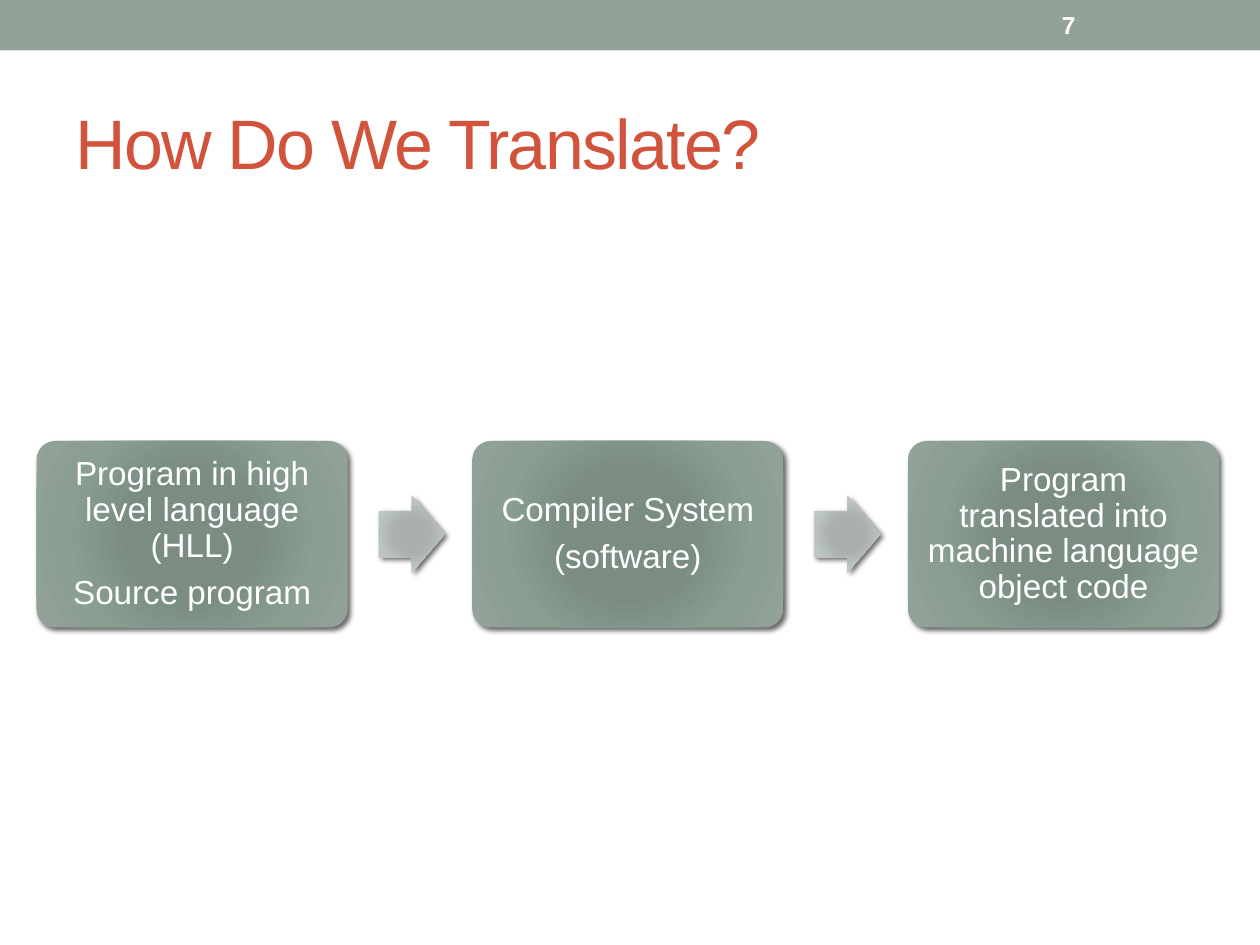
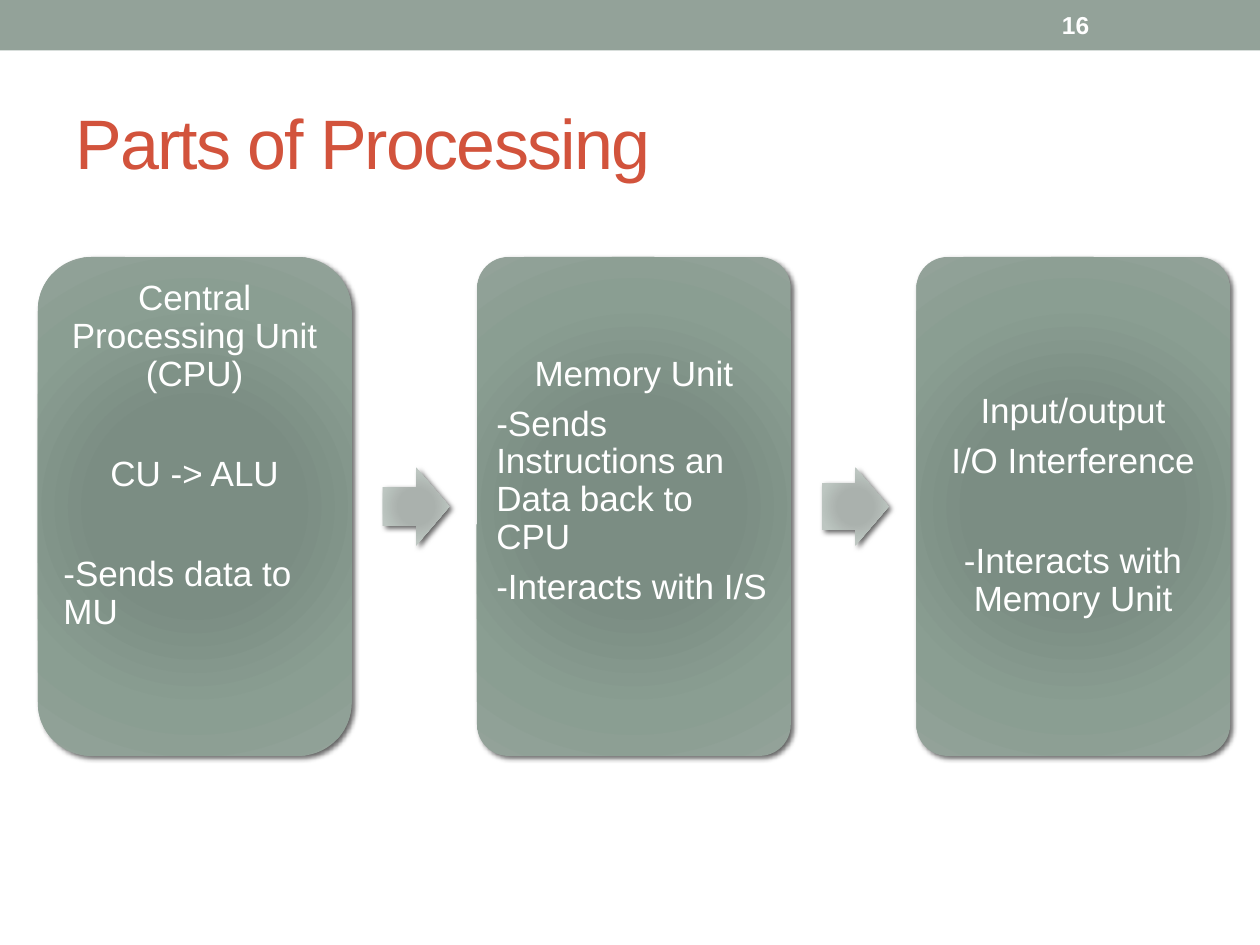
from dataclasses import dataclass

from lxml.etree import SubElement
from pptx import Presentation
from pptx.dml.color import RGBColor
from pptx.enum.shapes import MSO_SHAPE as Preset
from pptx.enum.text import MSO_ANCHOR as Anchor, PP_ALIGN as Align
from pptx.oxml.ns import qn
from pptx.util import Inches, Pt

# Content: each step lists (text, alignment, blank lines that follow)
C, L = Align.CENTER, Align.LEFT
SLIDES = [
    {
        "title": "How Do We Translate?", "number": "7",
        "left": 0.29, "top": 3.5, "width": 2.47, "height": 1.48, "size": 19,
        "steps": [
            [("Program in high level language (HLL)", C, 0), ("Source program", C, 0)],
            [("Compiler System", C, 0), ("(software)", C, 0)],
            [("Program translated into machine language object code", C, 0)],
        ],
        "corners": [0.1, 0.1, 0.1],
        "arrow_shafts": [0.6, 0.6],
    },
    {
        "title": "Parts of Processing", "number": "16",
        "left": 0.3, "top": 2.04, "width": 2.49, "height": 3.96, "size": 20,
        "steps": [
            [("Central Processing Unit (CPU)", C, 1), ("CU -> ALU", C, 1),
             ("-Sends data to MU", L, 2)],
            [("Memory Unit", C, 0), ("-Sends Instructions an Data back to CPU", L, 0),
             ("-Interacts with I/S", L, 1)],
            [("Input/output", C, 0), ("I/O Interference", C, 1),
             ("-Interacts with Memory Unit", C, 0)],
        ],
        "corners": [0.17, 0.1, 0.1],
        "arrow_shafts": [0.5, 0.6],
    },
]


@dataclass(frozen=True)
class Theme:
    font: str = "Arial"
    band: str = "93A299"
    title: str = "D2533C"
    light: str = "FFFFFF"
    title_size: int = 40
    number_size: int = 14
    line_spacing: float = 0.9
    paragraph_gap: float = 0.35   # share of the type size
    blank_line: float = 1.43      # blank line with its gap, in type sizes
    inset: float = 0.08
    step_glow: tuple = ((0, "7B8E82"), (34, "7B8D83"), (70, "8A9E92"), (100, "93A299"))
    arrow_glow: tuple = ((0, "AAB2AD"), (34, "AAB1AD"), (70, "BDC6C1"), (100, "C8CECA"))


THEME = Theme()

# Flow proportions, as shares of the step width
STEP_PITCH, ARROW_OFFSET, ARROW_WIDTH, ARROW_HEIGHT = 1.4, 1.1, 0.212, 0.248


def add_node(parent, tag, **attributes):
    return SubElement(parent, qn(tag), {key: str(value) for key, value in attributes.items()})


def style_run(run, size, color, bold=False):
    run.font.name = THEME.font
    run.font.size = Pt(size)
    run.font.bold = bold
    run.font.color.rgb = RGBColor.from_string(color)


def add_label(slide, text, box, size, color, bold=False):
    frame = slide.shapes.add_textbox(*map(Inches, box)).text_frame
    frame.word_wrap = True
    frame.vertical_anchor = Anchor.MIDDLE
    frame.text = text
    run = frame.paragraphs[0].runs[0]
    style_run(run, size, color, bold)
    return run


def add_frame(slide, title, number):
    """Band, slide number and title shared by all slides."""
    band = slide.shapes.add_shape(Preset.RECTANGLE, 0, 0, Inches(10), Inches(0.4))
    band.shadow.inherit = False
    band.fill.solid()
    band.fill.fore_color.rgb = RGBColor.from_string(THEME.band)
    band.line.fill.background()
    heading = add_label(slide, title, (0.5, 0.58, 9, 1.08), THEME.title_size, THEME.title)
    heading.font._element.set("spc", "-100")
    add_label(slide, number, (8.33, 0.02, 1.17, 0.36), THEME.number_size, THEME.light, bold=True)


def add_glowing(slide, preset, box, glow):
    """Preset shape with a radial gradient and a soft shadow."""
    shape = slide.shapes.add_shape(preset, *map(Inches, box))
    shape.line.fill.background()
    shape.fill.background()
    shape.shadow.inherit = False
    properties = shape._element.spPr

    gradient = properties.makeelement(qn("a:gradFill"), {"rotWithShape": "1"})
    stops = add_node(gradient, "a:gsLst")
    for position, color in glow:
        stop = add_node(stops, "a:gs", pos=position * 1000)
        add_node(stop, "a:srgbClr", val=color)
    radial = add_node(gradient, "a:path", path="circle")
    add_node(radial, "a:fillToRect", l=50000, t=50000, r=50000, b=50000)
    properties.replace(properties.find(qn("a:noFill")), gradient)

    shadow = add_node(properties.find(qn("a:effectLst")), "a:outerShdw", blurRad=Pt(3),
                      dist=Pt(2), dir=45 * 60000, algn="ctr", rotWithShape=0)
    add_node(add_node(shadow, "a:srgbClr", val="000000"), "a:alpha", val=60000)
    return shape


def fill_step(frame, lines, size):
    frame.word_wrap = True
    frame.vertical_anchor = Anchor.MIDDLE
    frame.margin_left = frame.margin_right = frame.margin_top = Inches(THEME.inset)
    # Blank space under the last line lifts the whole text
    frame.margin_bottom = Inches(THEME.inset) + Pt(lines[-1][2] * THEME.blank_line * size)
    frame.text = "\n".join(text for text, _, _ in lines)
    for paragraph, (_, align, blanks) in zip(frame.paragraphs, lines):
        paragraph.alignment = align
        paragraph.line_spacing = THEME.line_spacing
        paragraph.space_after = Pt(THEME.paragraph_gap * size)
        if blanks and paragraph.text != lines[-1][0]:
            paragraph.space_after += Pt(blanks * THEME.blank_line * size)
        style_run(paragraph.runs[0], size, THEME.light)


def add_flow(slide, flow):
    width, height, top = flow["width"], flow["height"], flow["top"]
    arrow_width, arrow_height = ARROW_WIDTH * width, ARROW_HEIGHT * width
    arrow_top = top + (height - arrow_height) / 2
    for index, (lines, corner) in enumerate(zip(flow["steps"], flow["corners"])):
        left = flow["left"] + index * STEP_PITCH * width
        step = add_glowing(slide, Preset.ROUNDED_RECTANGLE, (left, top, width, height),
                           THEME.step_glow)
        step.adjustments[0] = corner
        fill_step(step.text_frame, lines, flow["size"])
        # Arrow to the next step
        if index < len(flow["arrow_shafts"]):
            arrow = add_glowing(slide, Preset.RIGHT_ARROW,
                                (left + ARROW_OFFSET * width, arrow_top, arrow_width, arrow_height),
                                THEME.arrow_glow)
            arrow.adjustments[0] = flow["arrow_shafts"][index]
            arrow.adjustments[1] = 0.5


def main():
    deck = Presentation()
    deck.slide_width, deck.slide_height = Inches(10), Inches(7.5)
    for content in SLIDES:
        slide = deck.slides.add_slide(deck.slide_layouts[6])
        add_frame(slide, content["title"], content["number"])
        add_flow(slide, content)
    deck.save("out.pptx")


if __name__ == "__main__":
    main()
